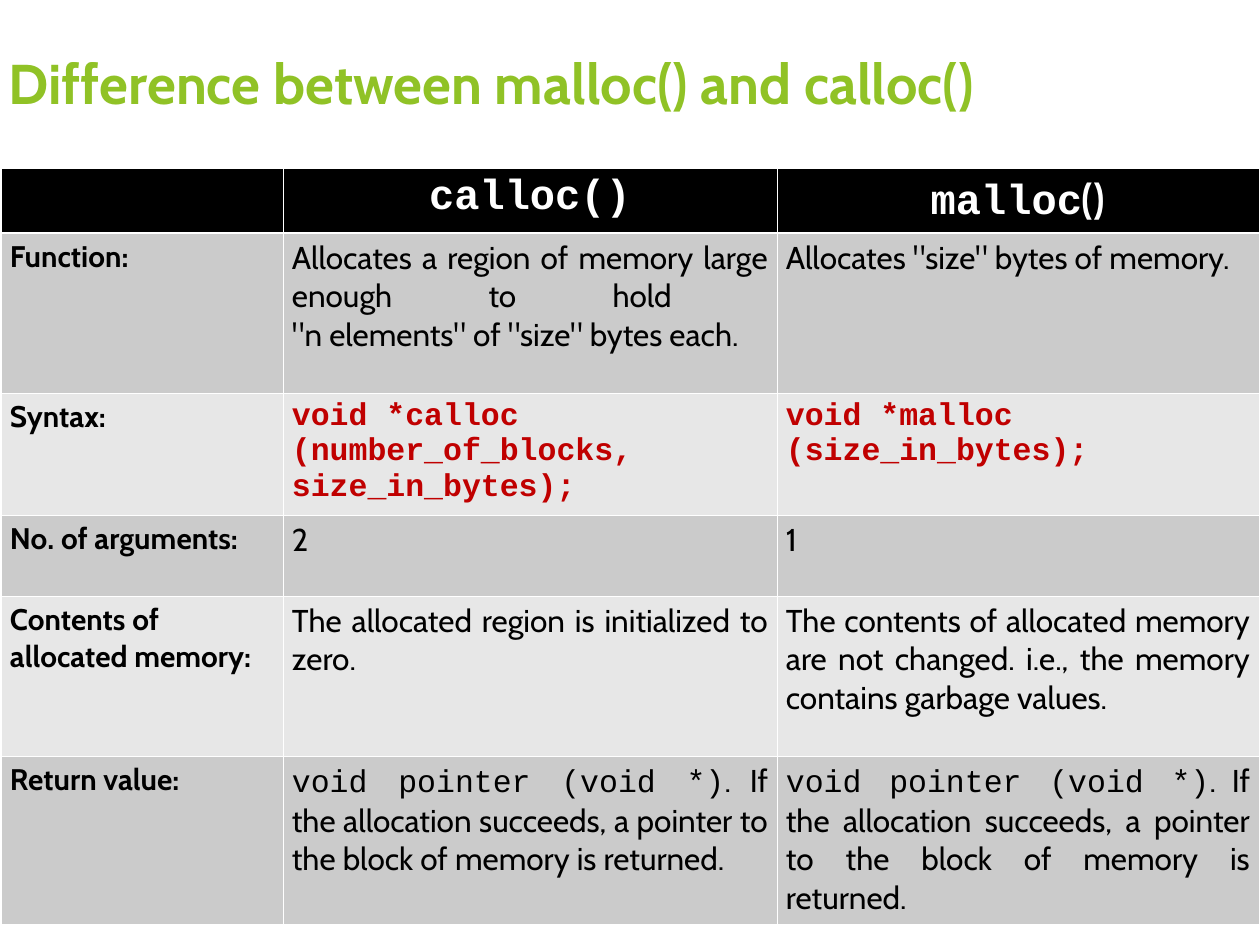
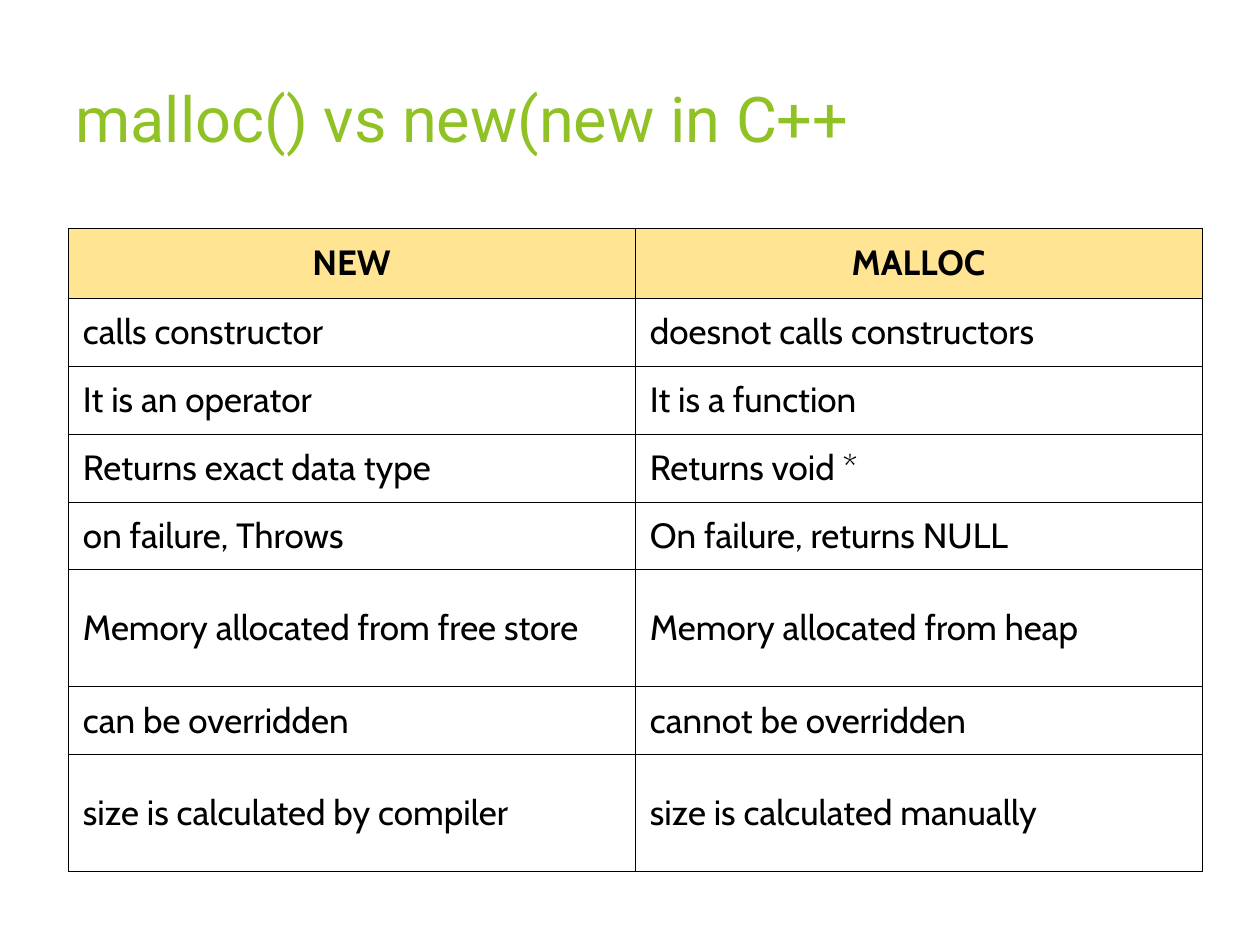
from lxml.etree import SubElement
from pptx import Presentation
from pptx.dml.color import RGBColor
from pptx.enum.text import MSO_ANCHOR as Anchor, MSO_AUTO_SIZE as Auto, PP_ALIGN as Align
from pptx.oxml.ns import qn
from pptx.util import Pt

PX = 914400 // 126
HEX = {
    "green": "90C226", "black": "000000", "white": "FFFFFF", "red": "C00000",
    "dark": "CBCBCB", "light": "E7E7E7", "gold": "FFE593",
}
BODY, CODE, HEAD = "Cabin", "Courier New", "Roboto"

# Text styles: font, size, colour, bold
STYLES = {
    "top": (CODE, 24, "white", True),
    "paren": (BODY, 24, "white", True),
    "label": (BODY, 17, "black", True),
    "text": (BODY, 18, "black", False),
    "code": (CODE, 18, "black", False),
    "syntax": (CODE, 18, "red", True),
    "caps": (BODY, 20, "black", True),
    "plain": (BODY, 20, "black", False),
    "bold title": (BODY, 32, "green", True),
    "thin title": (HEAD, 36, "green", False),
}


def write(frame, runs, align):
    """Write (text, style) runs into the first paragraph of a frame."""
    para = frame.paragraphs[0]
    para.alignment = align
    for text, style in runs:
        name, size, tint, bold = STYLES[style]
        for i, line in enumerate(text.split("\n")):
            if i:
                para.add_line_break()
            run = para.add_run()
            run.text = line
            font = run.font
            font.name, font.size, font.bold = name, Pt(size), bold
            font.color.rgb = RGBColor.from_string(HEX[tint])


def dress(cell, fill, edge, widths, side):
    """Set the borders, fill and insets of a cell."""
    props = cell._tc.get_or_add_tcPr()
    for key, width in zip("LRTB", widths):
        line = SubElement(props, qn(f"a:ln{key}"), w=str(Pt(width)))
        solid = SubElement(line, qn("a:solidFill"))
        SubElement(solid, qn("a:srgbClr"), val=HEX[edge])
    cell.fill.solid()
    cell.fill.fore_color.rgb = RGBColor.from_string(HEX[fill])
    cell.margin_left = cell.margin_right = side * PX
    cell.margin_top = cell.margin_bottom = 6 * PX


# Contents of the first table
result = [
    ("void pointer (void *)", "code"),
    (". If the allocation succeeds, a pointer to the block of memory is returned.", "text"),
]
alloc = [
    [[], [("calloc()", "top")], [("malloc", "top"), ("()", "paren")]],
    [[("Function:", "label")],
     [('Allocates a region of memory large enough to hold \n'
       '"n elements" of "size" bytes each.', "text")],
     [('Allocates "size" bytes of memory.', "text")]],
    [[("Syntax:", "label")],
     [("void *calloc (number_of_blocks, size_in_bytes);", "syntax")],
     [("void *malloc (size_in_bytes);", "syntax")]],
    [[("No. of arguments:", "label")], [("2", "text")], [("1", "text")]],
    [[("Contents of allocated memory:", "label")],
     [("The allocated region is initialized to zero.", "text")],
     [("The contents of allocated memory are not changed. i.e., "
       "the memory contains garbage values.", "text")]],
    [[("Return value:", "label")], result, result],
]

# Contents of the second table
pairs = [
    ("NEW", "MALLOC"),
    ("calls constructor", "doesnot calls constructors"),
    ("It is an operator", "It is a function"),
    ("Returns exact data type", "Returns void *"),
    ("on failure, Throws", "On failure, returns NULL"),
    ("Memory allocated from free store", "Memory allocated from heap"),
    ("can be overridden", "cannot be overridden"),
    ("size is calculated by compiler", "size is calculated manually"),
]
versus = [[[(text, "plain" if r else "caps")] for text in pair]
          for r, pair in enumerate(pairs)]

# Title, style, title box, table corner, columns, rows, contents
PAGES = [
    ("Difference between malloc() and calloc()", "bold title", (-4, 42, 1218, 130),
     (1, 168), [282, 494, 482], [65, 160, 122, 81, 160, 168], alloc),
    ("malloc() vs new(new in C++", "thin title", (63, 73, 1134, 158),
     (68, 228), [567, 567], [70, 68, 68, 68, 68, 117, 68, 117], versus),
]

deck = Presentation()
deck.slide_width, deck.slide_height = 1260 * PX, 945 * PX

for name, style, box, (left, top), cols, rows, data in PAGES:
    slide = deck.slides.add_slide(deck.slide_layouts[5])

    # Title
    title = slide.shapes.title
    title.left, title.top, title.width, title.height = [n * PX for n in box]
    frame = title.text_frame
    frame.word_wrap, frame.auto_size = True, Auto.NONE
    frame.vertical_anchor = Anchor.TOP
    write(frame, [(name, style)], Align.LEFT)

    # Table grid
    grid = slide.shapes.add_table(
        len(rows), len(cols), left * PX, top * PX, sum(cols) * PX, sum(rows) * PX).table
    grid.first_row = grid.horz_banding = False
    for col, width in zip(grid.columns, cols):
        col.width = width * PX
    for row, height in zip(grid.rows, rows):
        row.height = height * PX

    # Cells
    for r, line in enumerate(data):
        for c, runs in enumerate(line):
            cell = grid.cell(r, c)
            if data is alloc:
                fill = ("dark" if r % 2 else "light") if r else "black"
                widths = (0.45, 0.45, 1.47 if r == 1 else 0.45, 1.47 if r == 0 else 0.45)
                dress(cell, fill, "white", widths, 9)
                flush = c == 0 or runs[0][1] == "syntax"
                align = Align.LEFT if flush else Align.JUSTIFY
            else:
                dress(cell, "white" if r else "gold", "black", [0.45] * 4, 15 if r else 9)
                cell.vertical_anchor = Anchor.MIDDLE
                align = Align.LEFT
            write(cell.text_frame, runs, align if r else Align.CENTER)

deck.save("out.pptx")
